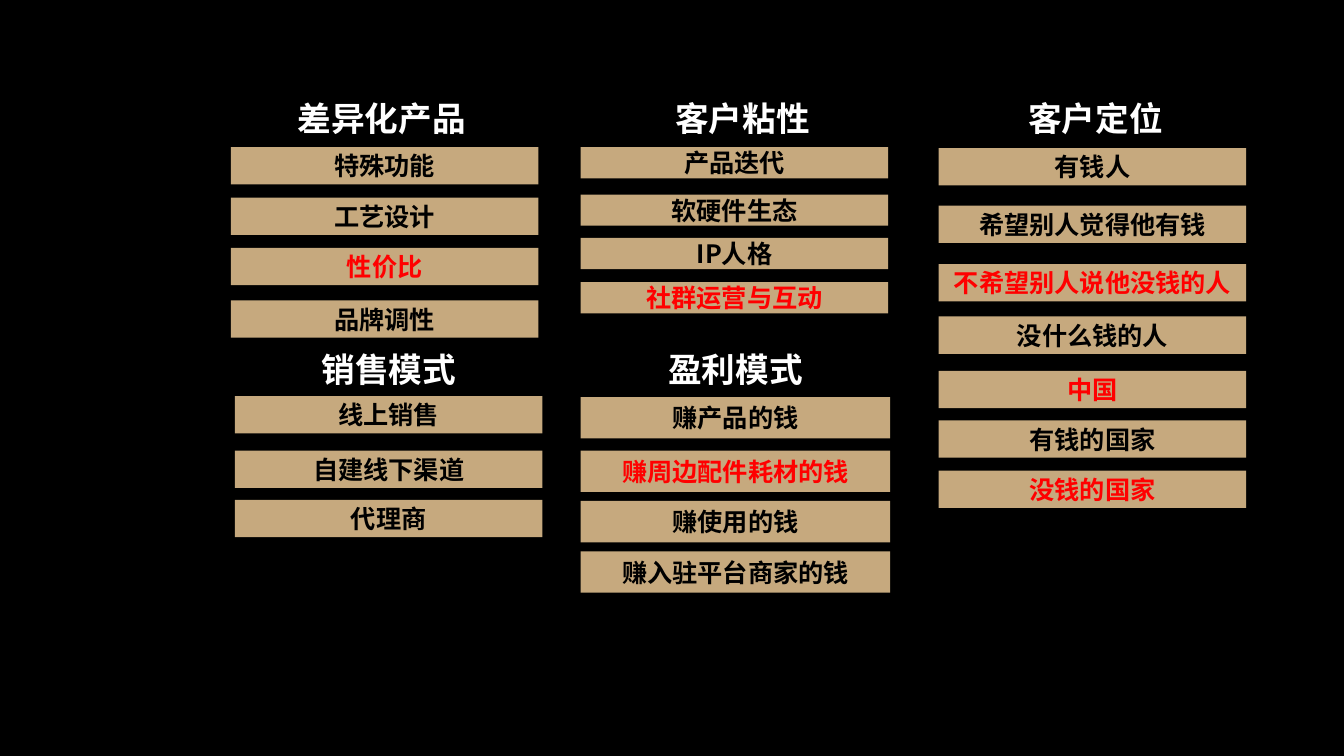
from dataclasses import dataclass
from pptx import Presentation
from pptx.dml.color import RGBColor
from pptx.enum.shapes import MSO_SHAPE
from pptx.enum.text import MSO_ANCHOR, PP_ALIGN
from pptx.oxml.ns import qn
from pptx.util import Inches, Pt
from lxml.etree import SubElement


@dataclass(frozen=True)
class Theme:
    face: str = "Noto Sans CJK SC"
    back: RGBColor = RGBColor(0, 0, 0)
    bar: RGBColor = RGBColor(0xC6, 0xA9, 0x7E)
    head: RGBColor = RGBColor(255, 255, 255)
    ink: RGBColor = RGBColor(0, 0, 0)
    hot: RGBColor = RGBColor(255, 0, 0)
    large: Pt = Pt(24)
    body: Pt = Pt(18)


class Board:
    def __init__(self, slide, theme):
        self.slide = slide
        self.theme = theme
        fill = slide.background.fill
        fill.solid()
        fill.fore_color.rgb = theme.back

    def label(self, shape, text, size, color, anchor):
        frame = shape.text_frame
        frame.word_wrap = True
        frame.vertical_anchor = anchor
        line = frame.paragraphs[0]
        line.alignment = PP_ALIGN.CENTER
        run = line.add_run()
        run.text = text
        style = {"name": self.theme.face, "size": size, "bold": True}
        for key, value in style.items():
            setattr(run.font, key, value)
        run.font.color.rgb = color
        SubElement(run._r.get_or_add_rPr(), qn("a:ea"), typeface=self.theme.face)

    def head(self, text, area):
        box = self.slide.shapes.add_textbox(*map(Inches, area))
        self.label(box, text, self.theme.large, self.theme.head, MSO_ANCHOR.TOP)

    def bar(self, text, area, hot):
        box = self.slide.shapes.add_shape(MSO_SHAPE.RECTANGLE, *map(Inches, area))
        box.shadow.inherit = False
        box.fill.solid()
        box.fill.fore_color.rgb = self.theme.bar
        box.line.fill.background()
        color = self.theme.hot if hot else self.theme.ink
        self.label(box, text, self.theme.body, color, MSO_ANCHOR.MIDDLE)

    def group(self, title, area, left, size, items):
        self.head(title, area)
        for text, top in items.items():
            self.bar(text, (left, top, *size), text in HOT)


HOT = {"性价比", "社群运营与互动", "不希望别人说他没钱的人",
       "中国", "没钱的国家", "赚周边配件耗材的钱"}

GROUPS = [
    ("差异化产品", (2, 0.92, 3.57, 3.01), 2.29, (3.05, 0.37),
     {"特殊功能": 1.46, "工艺设计": 1.96, "性价比": 2.46, "品牌调性": 2.98}),
    ("客户粘性", (5.58, 0.92, 3.57, 2.3), 5.76, (3.05, 0.31),
     {"产品迭代": 1.46, "软硬件生态": 1.93, "IP人格": 2.36,
      "社群运营与互动": 2.8}),
    ("客户定位", (9.08, 0.92, 3.57, 4.65), 9.31, (3.05, 0.37),
     {"有钱人": 1.47, "希望别人觉得他有钱": 2.04,
      "不希望别人说他没钱的人": 2.62, "没什么钱的人": 3.14,
      "中国": 3.68, "有钱的国家": 4.17, "没钱的国家": 4.67}),
    ("销售模式", (2.07, 3.41, 3.57, 2.06), 2.33, (3.05, 0.37),
     {"线上销售": 3.93, "自建线下渠道": 4.47, "代理商": 4.96}),
    ("盈利模式", (4.73, 3.41, 5.13, 1.78), 5.76, (3.07, 0.41),
     {"赚产品的钱": 3.94, "赚周边配件耗材的钱": 4.47,
      "赚使用的钱": 4.97, "赚入驻平台商家的钱": 5.47}),
]


def main():
    deck = Presentation()
    deck.slide_width = Inches(13.33)
    deck.slide_height = Inches(7.5)
    board = Board(deck.slides.add_slide(deck.slide_layouts[6]), Theme())
    for group in GROUPS:
        board.group(*group)
    deck.save("out.pptx")


if __name__ == "__main__":
    main()
